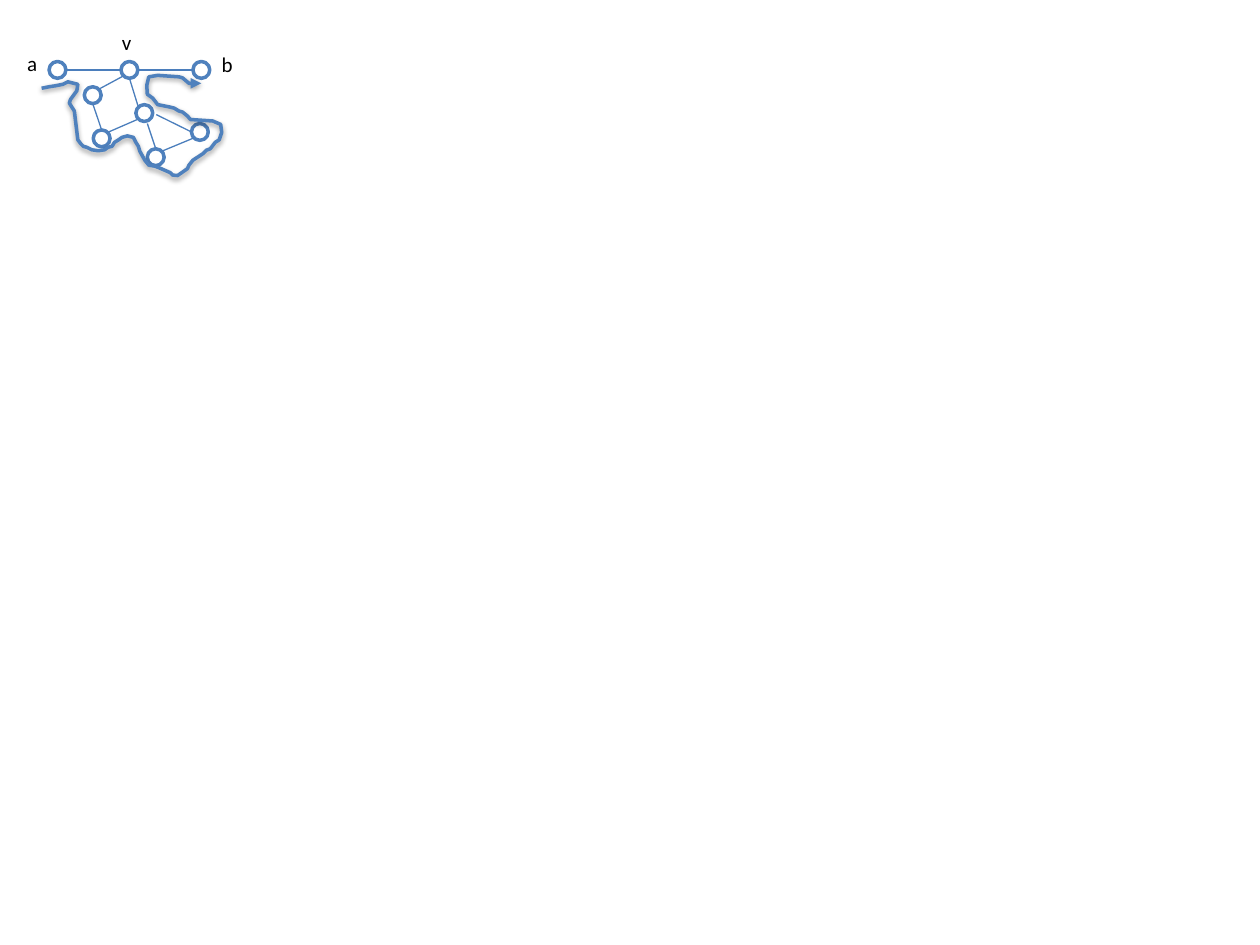
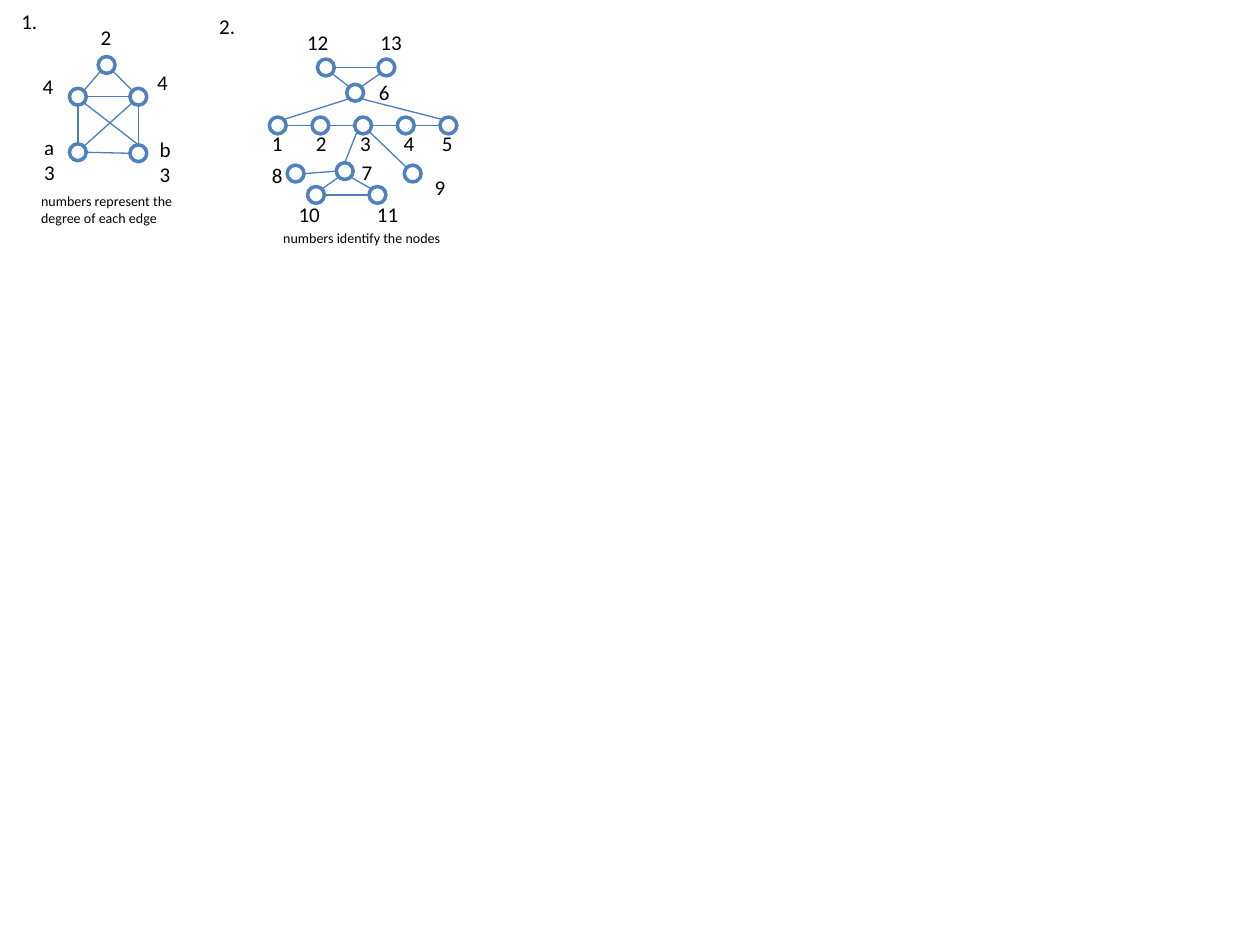
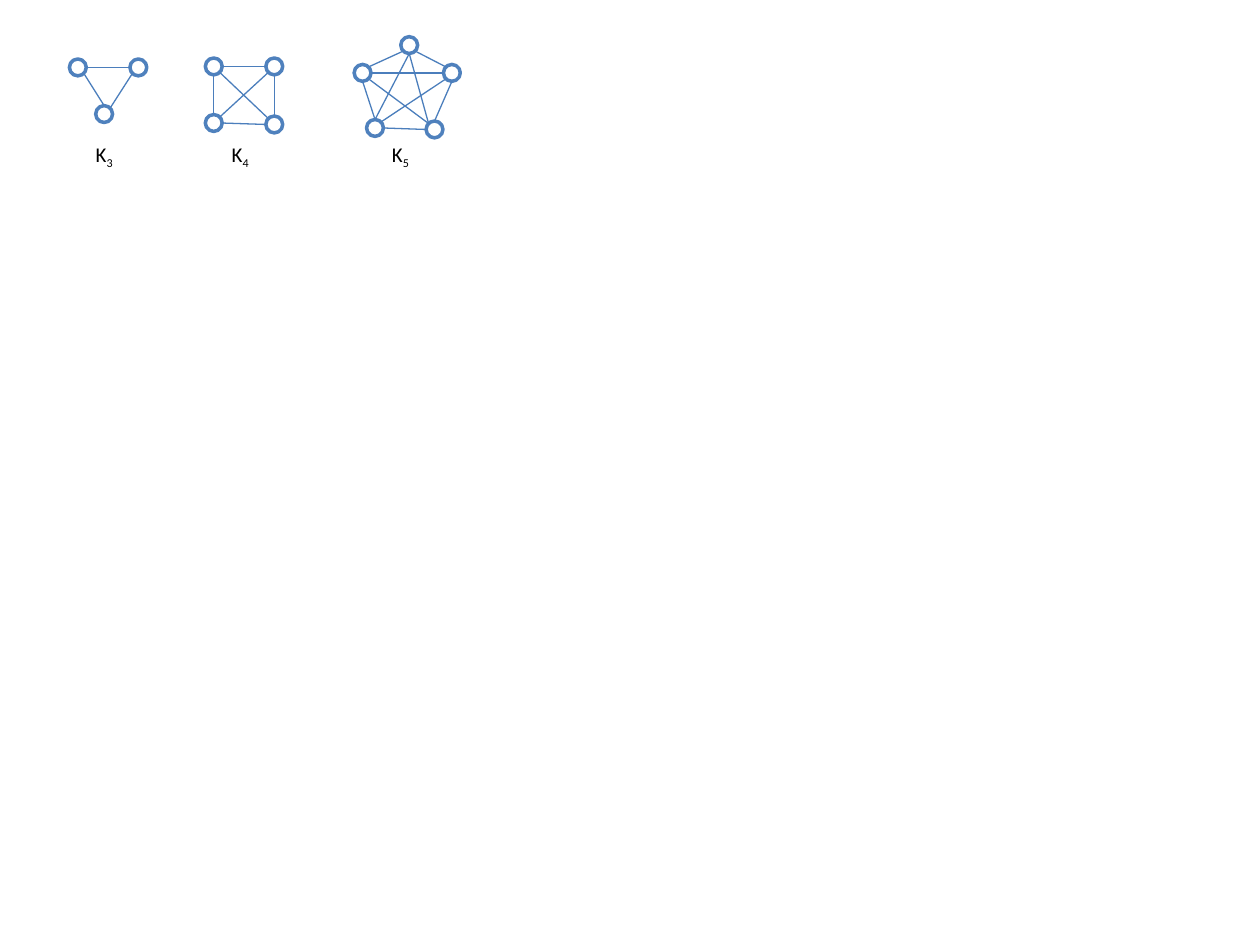
from dataclasses import dataclass
from math import sqrt

from pptx import Presentation
from pptx.dml.color import RGBColor
from pptx.enum.shapes import MSO_CONNECTOR, MSO_SHAPE
from pptx.enum.text import MSO_AUTO_SIZE as AutoSize
from pptx.oxml import parse_xml
from pptx.oxml.ns import nsdecls
from pptx.oxml.xmlchemy import OxmlElement
from pptx.util import Cm, Pt


@dataclass(frozen=True)
class Theme:
    font: str = "Calibri"
    text: RGBColor = RGBColor(0x00, 0x00, 0x00)
    node_fill: RGBColor = RGBColor(0xFF, 0xFF, 0xFF)
    node_line: RGBColor = RGBColor(0x4F, 0x81, 0xBD)
    edge_line: RGBColor = RGBColor(0x4B, 0x7E, 0xBC)
    label_size: int = 12
    caption_size: int = 8
    node_width: float = 2
    edge_width: float = 0.75
    radius: float = 0.17


THEME = Theme()
DIAGONAL = sqrt(0.5)
DIRECTIONS = {
    "N": (0, -1), "S": (0, 1), "W": (-1, 0), "E": (1, 0),
    "NW": (-DIAGONAL, -DIAGONAL), "NE": (DIAGONAL, -DIAGONAL),
    "SW": (-DIAGONAL, DIAGONAL), "SE": (DIAGONAL, DIAGONAL),
}

LETTER_WIDTH, NUMBER_WIDTH, NAME_WIDTH, ROW_WIDTH = 0.74, 0.84, 0.89, 4.39

WALK = [
    (0.84, 1.78), (0.99, 1.75), (1.12, 1.73), (1.27, 1.7), (1.37, 1.65),
    (1.57, 1.7), (1.55, 1.83), (1.42, 2.01), (1.4, 2.08), (1.5, 2.24),
    (1.52, 2.41), (1.57, 2.82), (1.63, 2.9), (1.68, 2.95), (1.75, 2.97),
    (1.85, 3.02), (1.98, 3.04), (2.11, 3.02), (2.18, 2.97), (2.26, 2.95),
    (2.31, 2.87), (2.39, 2.82), (2.46, 2.77), (2.57, 2.74), (2.69, 2.77),
    (2.74, 2.87), (2.79, 2.95), (2.82, 3.05), (2.92, 3.23), (3, 3.33),
    (3.12, 3.35), (3.2, 3.38), (3.43, 3.48), (3.48, 3.53), (3.58, 3.54),
    (3.71, 3.45), (3.78, 3.4), (3.81, 3.33), (3.89, 3.23), (4.09, 3.1),
    (4.16, 3.03), (4.24, 3), (4.34, 2.87), (4.42, 2.82), (4.47, 2.67),
    (4.45, 2.51), (4.29, 2.44), (3.84, 2.41), (3.78, 2.34), (3.68, 2.26),
    (3.61, 2.24), (3.51, 2.18), (3.43, 2.16), (3.18, 2.11), (3.08, 1.98),
    (2.97, 1.9), (2.96, 1.72), (3, 1.55), (3.18, 1.52), (3.61, 1.55),
    (3.68, 1.57), (3.81, 1.68), (4.06, 1.68),
]


def style_line(line, color, width):
    line.color.rgb = color
    line.width = Pt(width)


def add_node(slide, x, y):
    """Draw a ring centred on x, y."""
    radius = THEME.radius
    shape = slide.shapes.add_shape(
        MSO_SHAPE.OVAL, Cm(x - radius), Cm(y - radius), Cm(2 * radius), Cm(2 * radius))
    shape.shadow.inherit = False
    shape.fill.solid()
    shape.fill.fore_color.rgb = THEME.node_fill
    style_line(shape.line, THEME.node_line, THEME.node_width)


def add_edge(slide, start, end):
    connector = slide.shapes.add_connector(
        MSO_CONNECTOR.STRAIGHT, *(Cm(value) for value in (*start, *end)))
    style_line(connector.line, THEME.edge_line, THEME.edge_width)
    connector._element.spPr.append(OxmlElement("a:effectLst"))


def rim_point(nodes, anchor):
    """Turn an anchor such as "a.NE" into a point on the rim of node a."""
    name, direction = anchor.split(".")
    return tuple(centre + THEME.radius * step
                 for centre, step in zip(nodes[name], DIRECTIONS[direction]))


def add_graph(slide, nodes, edges):
    """Draw nodes, given by centre, and edges, given as "a.E-b.W" words."""
    for centre in nodes.values():
        add_node(slide, *centre)
    for edge in edges.split():
        start, end = edge.split("-")
        add_edge(slide, rim_point(nodes, start), rim_point(nodes, end))


def add_run(paragraph, text, size, baseline=0):
    run = paragraph.add_run()
    run.text = text
    run.font.name = THEME.font
    run.font.size = Pt(size)
    run.font.color.rgb = THEME.text
    if baseline:
        run.font._element.set("baseline", str(baseline * 1000))


def add_label(slide, x, y, width, *lines, size=THEME.label_size, wrap=False):
    """Add a text box with one paragraph of lines and return the paragraph."""
    height = 0.25 + 0.043 * size * len(lines)
    box = slide.shapes.add_textbox(Cm(x), Cm(y), Cm(width), Cm(height))
    box.text_frame.word_wrap = wrap
    box.text_frame.auto_size = AutoSize.SHAPE_TO_FIT_TEXT
    paragraph = box.text_frame.paragraphs[0]
    for index, line in enumerate(lines):
        if index:
            paragraph.add_line_break()
        add_run(paragraph, line, size)
    return paragraph


def add_number_row(slide, x, y, numbers, tabs=()):
    """Add numbers in one wrapping box, set apart by tab stops."""
    paragraph = add_label(slide, x, y, ROW_WIDTH, "\t".join(numbers.split()), wrap=True)
    if tabs:
        tab_list = OxmlElement("a:tabLst")
        for position in tabs:
            tab = OxmlElement("a:tab")
            tab.set("pos", str(Cm(position)))
            tab.set("algn", "l")
            tab_list.append(tab)
        paragraph._p.get_or_add_pPr().append(tab_list)


def add_walk(slide, points):
    """Draw a shadowed open path that ends in an arrowhead."""
    start, *rest = [(Cm(x), Cm(y)) for x, y in points]
    builder = slide.shapes.build_freeform(*start)
    builder.add_line_segments(rest, close=False)
    shape = builder.convert_to_shape()
    shape.fill.background()
    style_line(shape.line, THEME.node_line, THEME.node_width)
    line = shape.line._get_or_add_ln()
    line.append(OxmlElement("a:round"))
    arrowhead = OxmlElement("a:tailEnd")
    arrowhead.set("type", "triangle")
    line.append(arrowhead)
    shape._element.spPr.append(parse_xml(
        f'<a:effectLst {nsdecls("a")}>'
        f'<a:outerShdw blurRad="{Pt(3.1)}" dist="{Pt(1.6)}" dir="5400000" rotWithShape="0">'
        '<a:srgbClr val="000000"><a:alpha val="38000"/></a:srgbClr>'
        '</a:outerShdw></a:effectLst>'))


def build_walk_slide(slide):
    nodes = {
        "a": (1.16, 1.41), "v": (2.61, 1.41), "b": (4.06, 1.41),
        "upper": (1.87, 1.92), "lower": (2.05, 2.79), "hub": (2.91, 2.28),
        "bottom": (3.14, 3.17), "right": (4.03, 2.66),
    }
    add_graph(slide, nodes,
              "v.E-b.W upper.S-lower.N a.E-v.W hub.NW-v.S hub.SW-lower.NE "
              "upper.NE-v.SW right.SW-bottom.NE")
    add_edge(slide, (2.97, 2.49), rim_point(nodes, "bottom.N"))
    add_edge(slide, (3.15, 2.31), rim_point(nodes, "right.W"))
    for letter, x, y in (("b", 4.22, 0.91), ("a", 0.3, 0.89), ("v", 2.21, 0.48)):
        add_label(slide, x, y, LETTER_WIDTH, letter)
    add_walk(slide, WALK)


def build_degree_graph(slide):
    nodes = {"top": (2.15, 1.31), "a": (1.57, 3.07), "b": (2.79, 3.09),
             "left": (1.57, 1.95), "right": (2.79, 1.95)}
    add_graph(slide, nodes,
              "top.SE-right.NW a.E-b.W a.N-left.S right.S-b.N top.SW-left.NE "
              "right.W-left.E right.SW-a.NE left.SE-b.N")
    for x, y, *lines in ((1.78, 0.38, "2"), (2.92, 1.27, "4"), (0.61, 1.35, "4"),
                         (2.97, 2.62, "b", "3"), (0.64, 2.59, "a", "3")):
        add_label(slide, x, y, LETTER_WIDTH, *lines)
    add_label(slide, 0.18, 0.05, NUMBER_WIDTH, "1.")
    add_label(slide, 0.58, 3.76, 3.23, "numbers represent the ", "degree of each edge",
              size=THEME.caption_size)


def build_numbered_graph(slide):
    nodes = {str(index + 1): (5.6 + 0.86 * index, 2.53) for index in range(5)}
    nodes |= {"6": (7.16, 1.87), "7": (6.95, 3.45), "8": (5.96, 3.5), "9": (8.32, 3.5),
              "10": (6.37, 3.93), "11": (7.61, 3.93), "12": (6.57, 1.36), "13": (7.79, 1.36)}
    add_graph(slide, nodes,
              "1.E-2.W 2.E-3.W 3.E-4.W 4.E-5.W 6.NE-13.SW 6.NW-12.SE 13.W-12.E "
              "6.SW-1.NE 6.SE-5.NW 7.SE-11.NW 7.SW-10.NE 11.W-10.E 7.W-8.E "
              "9.NW-3.SE 7.N-3.SW")
    add_label(slide, 4.17, 0.15, NUMBER_WIDTH, "2.")
    add_number_row(slide, 5.23, 2.51, "1 2 3 4 5", (0.89, 1.78, 2.66, 3.43))
    add_number_row(slide, 5.77, 3.94, "10 11", (1.58,))
    add_number_row(slide, 5.94, 0.48, "12 13", (1.48,))
    for number, x, y in (("6", 7.39, 1.47), ("9", 8.51, 3.4),
                         ("8", 5.23, 3.15), ("7", 7.04, 3.1)):
        add_number_row(slide, x, y, number)
    add_label(slide, 5.46, 4.5, 3.71, "numbers identify the nodes", size=THEME.caption_size)


def build_complete_graphs_slide(slide):
    triangle = {"left": (1.57, 1.36), "right": (2.79, 1.36), "bottom": (2.1, 2.3)}
    square = {"tl": (4.31, 1.34), "tr": (5.53, 1.34), "bl": (4.31, 2.48), "br": (5.53, 2.51)}
    pentagon = {"top": (8.25, 0.91), "tl": (7.31, 1.47), "tr": (9.11, 1.47),
                "bl": (7.56, 2.58), "br": (8.76, 2.61)}
    square_edges = "bl.E-br.W tr.W-tl.E bl.N-tl.S br.N-tr.S tl.SE-br.NW tr.SW-bl.NE"
    top_edges = " tr.NW-top.SE tl.NE-top.SW br.NW-top.S bl.N-top.S"
    graphs = (
        (triangle, "right.W-left.E right.SW-bottom.NE left.SE-bottom.N", 1.68),
        (square, square_edges, 4.42),
        (pentagon, square_edges + top_edges, 7.65),
    )
    for nodes, edges, label_x in graphs:
        add_graph(slide, nodes, edges)
        paragraph = add_label(slide, label_x, 2.72, NAME_WIDTH, "K")
        add_run(paragraph, str(len(nodes)), THEME.label_size, baseline=-25)


def build_two_graphs_slide(slide):
    build_degree_graph(slide)
    build_numbered_graph(slide)


def main():
    presentation = Presentation()
    presentation.slide_width, presentation.slide_height = Cm(25.4), Cm(19.05)
    blank = presentation.slide_layouts[6]
    for build in (build_walk_slide, build_two_graphs_slide, build_complete_graphs_slide):
        build(presentation.slides.add_slide(blank))
    presentation.save("out.pptx")


if __name__ == "__main__":
    main()
